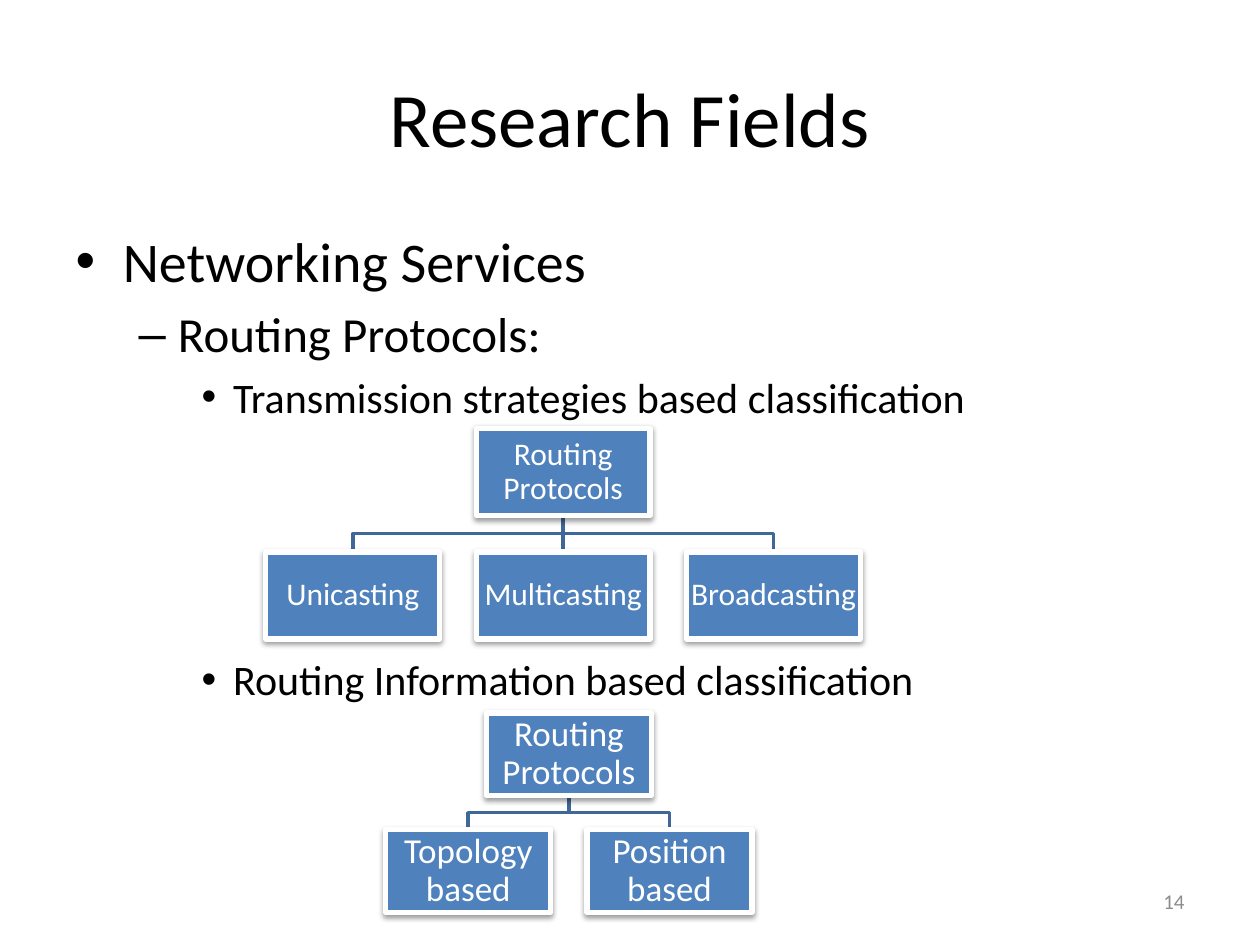
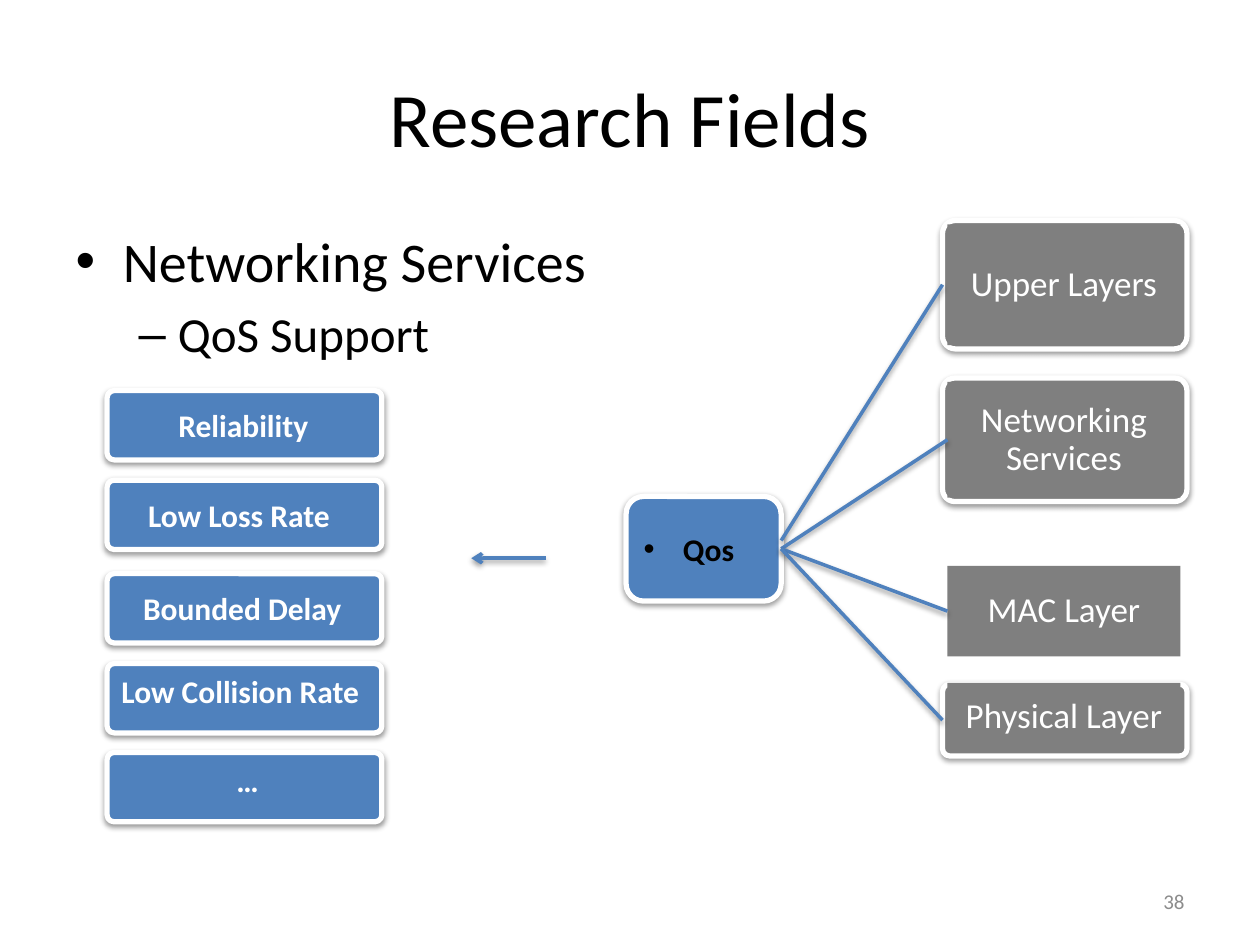
"""Build two "Research Fields" slides: routing protocol trees and QoS support."""
import pptx
import pptx.util
from lxml import etree
from pptx.dml.color import RGBColor
from pptx.enum.shapes import MSO_CONNECTOR, MSO_SHAPE
from pptx.enum.text import MSO_ANCHOR, MSO_AUTO_SIZE, PP_ALIGN
from pptx.oxml.ns import qn

Pt = pptx.util.Pt
BLACK = RGBColor(0x00, 0x00, 0x00)
WHITE = RGBColor(0xFF, 0xFF, 0xFF)
BLUE = RGBColor(0x4F, 0x81, 0xBD)
DARK_BLUE = RGBColor(0x3F, 0x67, 0x97)
GREY = RGBColor(0x7F, 0x7F, 0x7F)
NUMBER_GREY = RGBColor(0x8C, 0x8C, 0x8C)
FONT = "Calibri"
LEVEL_SIZES = [32, 28, 24]


def add_shadow(sp):
    """Give a shape or connector the soft shadow below it."""
    effects = etree.SubElement(sp._element.spPr, qn("a:effectLst"))
    outer = etree.SubElement(effects, qn("a:outerShdw"), blurRad="40000", dist="20000",
                             dir="5400000", rotWithShape="0")
    color = etree.SubElement(outer, qn("a:srgbClr"), val="000000")
    etree.SubElement(color, qn("a:alpha"), val="38000")


def add_box(s, kind, left, top, width, height, fill, text="", size=18, inset=0.72, framed=True):
    """Add a filled box with centred white text, framed and shadowed unless told otherwise."""
    sp = s.shapes.add_shape(kind, Pt(left), Pt(top), Pt(width), Pt(height))
    sp.fill.solid()
    sp.fill.fore_color.rgb = fill
    if framed:
        sp.line.color.rgb = WHITE
        sp.line.width = Pt(3)
        add_shadow(sp)
    else:
        sp.line.fill.background()
        sp.shadow.inherit = False
    if text:
        tf = sp.text_frame
        tf.word_wrap = True
        tf.vertical_anchor = MSO_ANCHOR.MIDDLE
        tf.margin_left = tf.margin_right = tf.margin_top = tf.margin_bottom = Pt(inset)
        p = tf.paragraphs[0]
        p.text = text
        p.alignment = PP_ALIGN.CENTER
        p.line_spacing = 0.9
        p.font.name = FONT
        p.font.size = Pt(size)
        p.font.color.rgb = WHITE
    return sp


prs = pptx.Presentation()
prs.slide_width, prs.slide_height = Pt(720), Pt(540)

pages = [
    (3, "14", [
        (1, 126, 128, [(0, "Networking Services"), (1, "Routing Protocols:"),
                       (2, "Transmission strategies based classification")]),
        (2, 370, 128, [(2, "Routing Information based classification")]),
    ]),
    (1, "38", [(1, 126, 356.4, [(0, "Networking Services"), (1, "QoS Support")])]),
]
for layout, number, lists in pages:
    s = prs.slides.add_slide(prs.slide_layouts[layout])
    title = s.shapes.title
    title.left, title.top, title.width, title.height = Pt(36), Pt(21.6), Pt(648), Pt(90)
    p = title.text_frame.paragraphs[0]
    p.text = "Research Fields"
    p.font.name = FONT
    p.font.size = Pt(44)
    p.font.color.rgb = BLACK

    for idx, top, height, items in lists:
        body = s.placeholders[idx]
        body.left, body.top, body.width, body.height = Pt(36), Pt(top), Pt(648), Pt(height)
        tf = body.text_frame
        tf.auto_size = MSO_AUTO_SIZE.NONE
        for i, (level, text) in enumerate(items):
            p = tf.add_paragraph() if i else tf.paragraphs[0]
            p.text = text
            p.level = level
            p.font.name = FONT
            p.font.size = Pt(LEVEL_SIZES[level])
            p.font.color.rgb = BLACK

    tf = s.shapes.add_textbox(Pt(516), Pt(500.5), Pt(168), Pt(28.75)).text_frame
    tf.word_wrap = True
    tf.vertical_anchor = MSO_ANCHOR.MIDDLE
    p = tf.paragraphs[0]
    p.text = number
    p.alignment = PP_ALIGN.RIGHT
    p.font.name = FONT
    p.font.size = Pt(12)
    p.font.color.rgb = NUMBER_GREY

s = prs.slides[0]
trees = [
    (321.8, 244.8, 315.4, 99.4, 49.7, 120.2, 18, ["Unicasting", "Multicasting", "Broadcasting"]),
    (325.1, 407.5, 474.2, 94.3, 47.1, 115, 20, ["Topology based", "Position based"]),
]
for center, root_top, leaf_top, width, height, step, size, leaves in trees:
    root = add_box(s, MSO_SHAPE.RECTANGLE, center - width / 2, root_top, width, height,
                   BLUE, "Routing Protocols", size)
    root_bottom = root_top + height
    bus = (root_bottom + leaf_top) / 2
    for i, text in enumerate(leaves):
        x = center + (i - (len(leaves) - 1) / 2) * step
        leaf = add_box(s, MSO_SHAPE.RECTANGLE, x - width / 2, leaf_top, width, height,
                       BLUE, text, size)
        if x == center:
            branch = s.shapes.add_connector(MSO_CONNECTOR.STRAIGHT, Pt(x), Pt(root_bottom),
                                            Pt(x), Pt(leaf_top))
            branch.begin_connect(root, 2)
            branch.end_connect(leaf, 0)
        else:
            fb = s.shapes.build_freeform(Pt(center), Pt(root_bottom))
            fb.add_line_segments([(Pt(center), Pt(bus)), (Pt(x), Pt(bus)), (Pt(x), Pt(leaf_top))],
                                 close=False)
            branch = fb.convert_to_shape()
            branch.fill.background()
        branch.line.color.rgb = DARK_BLUE
        branch.line.width = Pt(2)
        etree.SubElement(branch._element.spPr, qn("a:effectLst"))
        root._element.addprevious(branch._element)

s = prs.slides[1]
arrow = s.shapes.add_connector(MSO_CONNECTOR.STRAIGHT, Pt(311.8), Pt(319), Pt(269.3), Pt(319))
arrow.line.color.rgb = BLUE
arrow.line.width = Pt(2)
etree.SubElement(arrow.line._get_or_add_ln(), qn("a:tailEnd"), type="arrow")
add_shadow(arrow)

metrics = [
    (223.2, "Reliability", 39.6, MSO_ANCHOR.MIDDLE),
    (274.4, "Low Loss Rate", 22.3, MSO_ANCHOR.MIDDLE),
    (327.8, "Bounded Delay", 19.4, MSO_ANCHOR.MIDDLE),
    (379.2, "Low Collision Rate", 7.2, MSO_ANCHOR.TOP),
    (430, "…", 7.2, MSO_ANCHOR.TOP),
]
for top, text, inset, anchor in metrics:
    sp = add_box(s, MSO_SHAPE.ROUNDED_RECTANGLE, 61.2, top, 157, 39.6, BLUE, text, 18, 3.6)
    sp.adjustments[0] = 0.1
    tf = sp.text_frame
    tf.vertical_anchor = anchor
    tf.margin_left = Pt(inset)
    p = tf.paragraphs[0]
    p.alignment = PP_ALIGN.CENTER if text == "…" else PP_ALIGN.LEFT
    p.line_spacing = 1
    p.font.bold = True

qos = add_box(s, MSO_SHAPE.ROUNDED_RECTANGLE, 357.8, 283.7, 88.6, 59.8, BLUE, "Qos", 18, 7.2)
p = qos.text_frame.paragraphs[0]
p.alignment = PP_ALIGN.LEFT
p.line_spacing = 1
pPr = p._p.get_or_add_pPr()
pPr.set("marL", "285750")
pPr.set("indent", "-285750")
bullet_font = etree.Element(qn("a:buFont"), typeface="Arial")
bullet = etree.Element(qn("a:buChar"), char="•")
pPr.find(qn("a:defRPr")).addprevious(bullet_font)
bullet_font.addnext(bullet)
p.font.bold = True
p.font.color.rgb = BLACK

layers = [
    ("Upper Layers", (126, 73.4), (128.2, 69.1), True, 308.9),
    ("Networking Services", (216, 70.6), (218.2, 66.2), False, 313.6),
    ("MAC Layer", None, (323.3, 51.8), False, 313.6),
    ("Physical Layer", (391, 41), (390.2, 38.9), True, 313.6),
]
for text, card_span, plate_span, joins_card, qos_y in layers:
    if card_span:
        card = add_box(s, MSO_SHAPE.ROUNDED_RECTANGLE, 538.6, card_span[0], 139.7, card_span[1],
                       GREY)
        card.adjustments[0] = 0.1
    plate = add_box(s, MSO_SHAPE.RECTANGLE, 541.4, plate_span[0], 133.2, plate_span[1],
                    GREY, text, 20, 3.6, framed=False)
    link = s.shapes.add_connector(MSO_CONNECTOR.STRAIGHT, Pt(538.6), Pt(qos_y),
                                  Pt(446.4), Pt(qos_y))
    link.begin_connect(card if joins_card else plate, 1)
    if qos_y == 313.6:
        link.end_connect(qos, 3)
    link.line.color.rgb = BLUE
    link.line.width = Pt(2)
    add_shadow(link)

prs.save("out.pptx")
